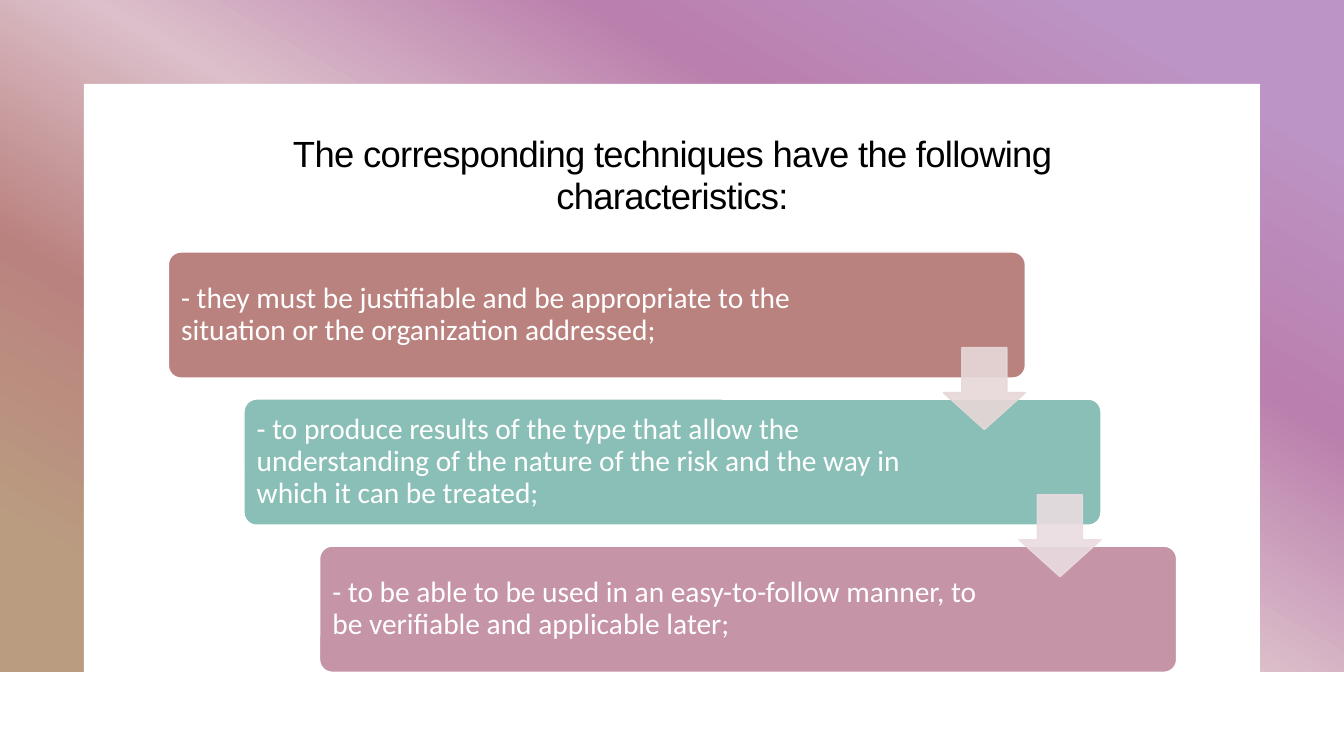
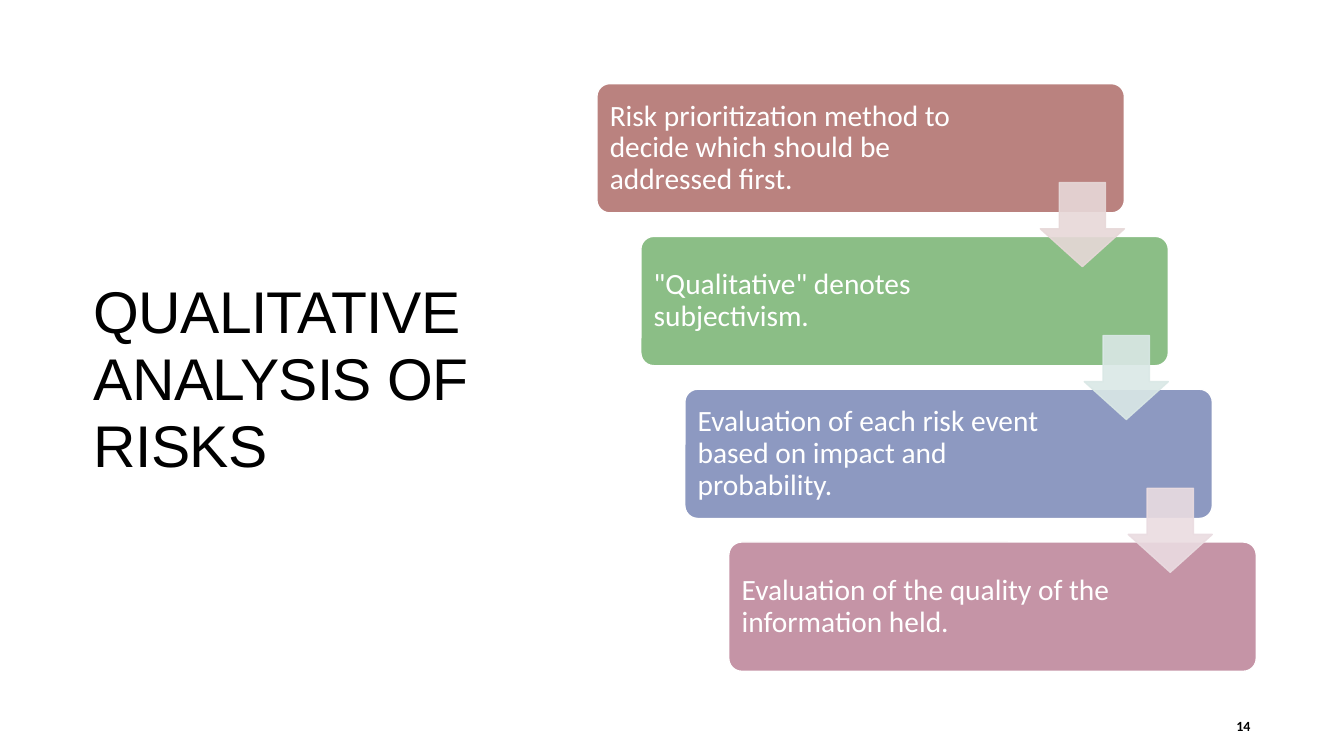
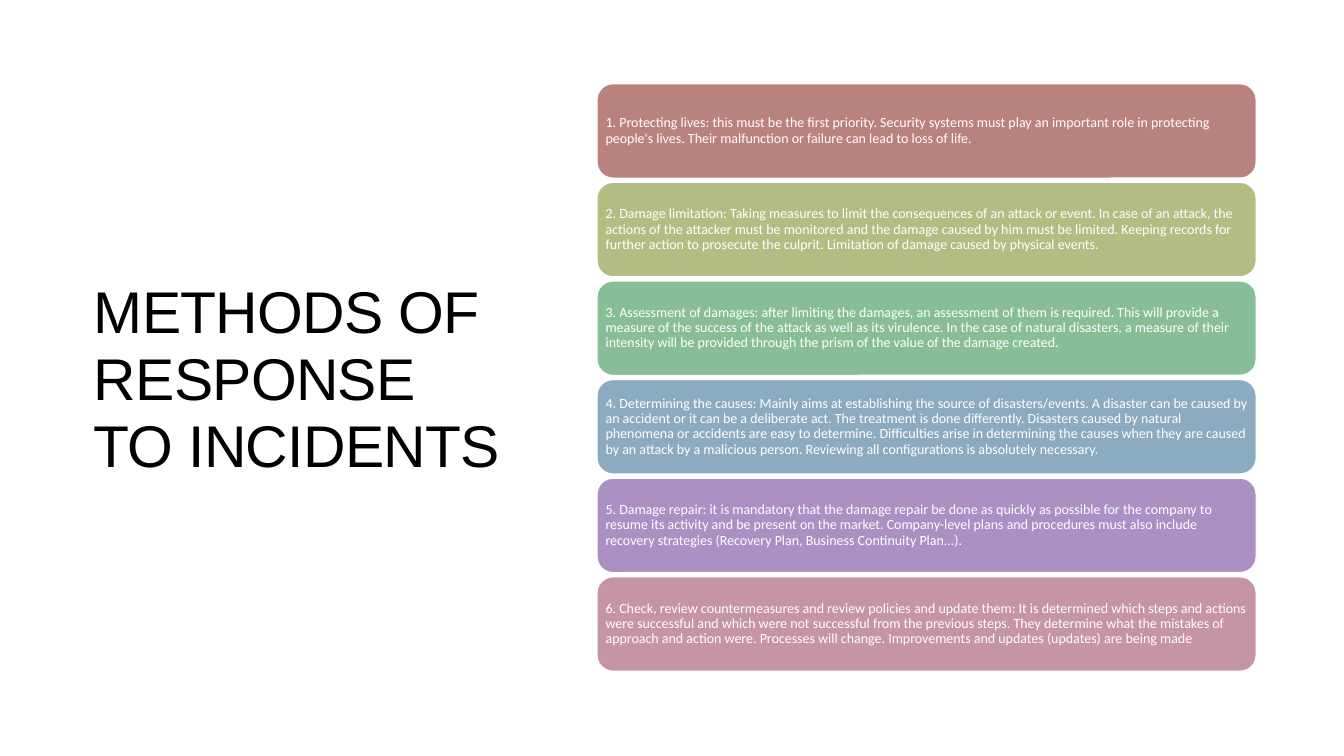
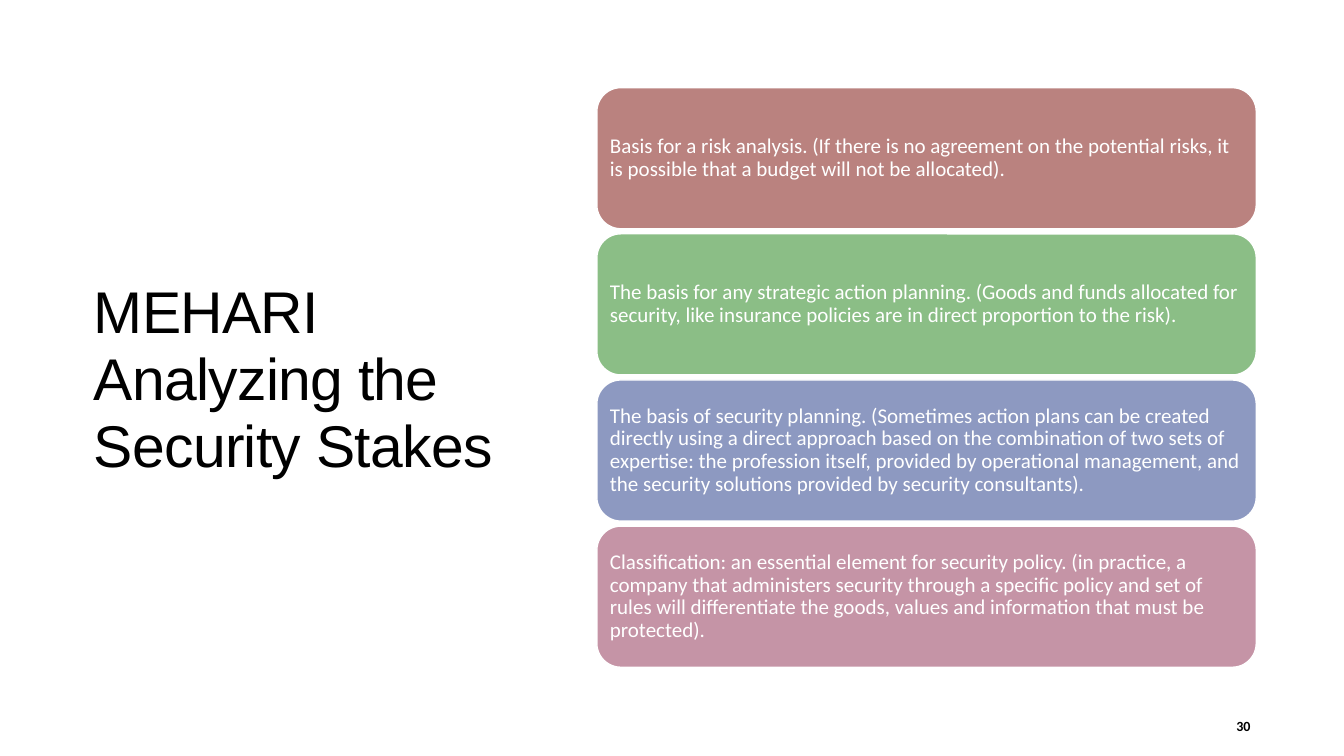
from lxml.etree import SubElement
from pptx import Presentation
from pptx.dml.color import RGBColor
from pptx.enum.shapes import MSO_SHAPE as Preset
from pptx.enum.text import MSO_ANCHOR as Anchor, MSO_AUTO_SIZE as AutoSize, PP_ALIGN as Align
from pptx.oxml.ns import qn
from pptx.util import Inches, Pt

WIDTH, HEIGHT = 13.33, 7.5
COLORS = {
    "white": "FFFFFF", "black": "000000",
    "brick": "BA827F", "olive": "B3BC83", "green": "8BBE86", "mint": "87BE97",
    "teal": "8ABFB7", "steel": "8CABC1", "blue": "8D99C1", "violet": "AA90C3",
    "rose": "C594A6",
    "pale_brick": "E7D8D8", "pale_teal": "DAE8E6", "pale_rose": "EADCE1",
}
GRADIENT = [(10, "BC94C5"), (30, "BA7FAD"), (50, "DCBFCA"), (70, "BA827F"), (90, "BA9C80")]
TITLE_FONT, BODY_FONT = "Arial", "Calibri"

# Boxes are left, top, width, height in inches
SIDE_TITLE = (0.83, 0.85, 4.27, 5.84)
SIDE_CONTENT = (5.92, 0.83, 6.54, 5.83)
TOP_TITLE = (1.67, 1.24, 10, 1.01)
TOP_CONTENT = (1.67, 2.5, 10, 4.17)
PAGE_NUMBER = (11.92, 7, 0.58, 0.4)

CHARACTERISTICS = [
    ("brick", "- they must be justifiable and be appropriate to the situation or the "
              "organization addressed;"),
    ("teal", "- to produce results of the type that allow the understanding of the nature "
             "of the risk and the way in which it can be treated;"),
    ("rose", "- to be able to be used in an easy-to-follow manner, to be verifiable and "
             "applicable later;"),
]
QUALITATIVE = [
    ("brick", "Risk prioritization method to decide which should be addressed first."),
    ("green", "\"Qualitative\" denotes subjectivism."),
    ("blue", "Evaluation of each risk event based on impact and probability."),
    ("rose", "Evaluation of the quality of the information held."),
]
RESPONSES = [
    ("brick", "1. Protecting lives: this must be the first priority. Security systems must "
              "play an important role in protecting people's lives. Their malfunction or "
              "failure can lead to loss of life."),
    ("olive", "2. Damage limitation: Taking measures to limit the consequences of an attack "
              "or event. In case of an attack, the actions of the attacker must be monitored "
              "and the damage caused by him must be limited. Keeping records for further "
              "action to prosecute the culprit. Limitation of damage caused by physical "
              "events."),
    ("mint", "3. Assessment of damages: after limiting the damages, an assessment of them is "
             "required. This will provide a measure of the success of the attack as well as "
             "its virulence. In the case of natural disasters, a measure of their intensity "
             "will be provided through the prism of the value of the damage created."),
    ("steel", "4. Determining the causes: Mainly aims at establishing the source of "
              "disasters/events. A disaster can be caused by an accident or it can be a "
              "deliberate act. The treatment is done differently. Disasters caused by natural "
              "phenomena or accidents are easy to determine. Difficulties arise in "
              "determining the causes when they are caused by an attack by a malicious "
              "person. Reviewing all configurations is absolutely necessary."),
    ("violet", "5. Damage repair: it is mandatory that the damage repair be done as quickly "
               "as possible for the company to resume its activity and be present on the "
               "market. Company-level plans and procedures must also include recovery "
               "strategies (Recovery Plan, Business Continuity Plan...)."),
    ("rose", "6. Check, review countermeasures and review policies and update them: It is "
             "determined which steps and actions were successful and which were not "
             "successful from the previous steps. They determine what the mistakes of "
             "approach and action were. Processes will change. Improvements and updates "
             "(updates) are being made"),
]
STAKES = [
    ("brick", "Basis for a risk analysis. (If there is no agreement on the potential risks, "
              "it is possible that a budget will not be allocated)."),
    ("green", "The basis for any strategic action planning. (Goods and funds allocated for "
              "security, like insurance policies are in direct proportion to the risk)."),
    ("blue", "The basis of security planning. (Sometimes action plans can be created directly "
             "using a direct approach based on the combination of two sets of expertise: the "
             "profession itself, provided by operational management, and the security "
             "solutions provided by security consultants)."),
    ("rose", "Classification: an essential element for security policy. (in practice, a "
             "company that administers security through a specific policy and set of rules "
             "will differentiate the goods, values and information that must be protected)."),
]


def color(name):
    return RGBColor.from_string(COLORS[name])


def write(shape, text, size, font=BODY_FONT, ink="white", bold=False,
          align=Align.LEFT, spacing=None):
    """Put one formatted paragraph in the shape, centred vertically."""
    frame = shape.text_frame
    frame.text = text
    frame.word_wrap = True
    frame.auto_size = AutoSize.NONE
    frame.vertical_anchor = Anchor.MIDDLE
    paragraph = frame.paragraphs[0]
    paragraph.alignment = align
    paragraph.line_spacing = spacing
    run = paragraph.runs[0]
    run.font.name, run.font.size, run.font.bold = font, Pt(size), bold
    run.font.color.rgb = color(ink)
    return run


def add_preset(slide, preset, box, fill, line=None):
    shape = slide.shapes.add_shape(preset, *map(Inches, box))
    shape.shadow.inherit = False
    shape.fill.solid()
    shape.fill.fore_color.rgb = color(fill)
    if line:
        shape.line.color.rgb = color(line)
        shape.line.width = Pt(1)
    else:
        shape.line.fill.background()
    return shape


def add_title(slide, text, box, size, align=Align.LEFT):
    title = slide.shapes.title
    title.left, title.top, title.width, title.height = map(Inches, box)
    run = write(title, text, size, TITLE_FONT, "black", align=align, spacing=0.95)
    run.font._element.set("spc", "-50")


def add_page_number(slide, number):
    box = slide.shapes.add_textbox(*map(Inches, PAGE_NUMBER))
    write(box, str(number), 10, ink="black", bold=True, align=Align.RIGHT)


def add_gradient_frame(slide):
    """Gradient band with a white panel inset by one sixteenth of the width."""
    inset = WIDTH / 16
    band = add_preset(slide, Preset.RECTANGLE, (0, 0, WIDTH, HEIGHT - inset), "white")
    band.fill.gradient()
    band.fill.gradient_angle = 240
    stops = band.fill._xPr.find(qn("a:gradFill")).find(qn("a:gsLst"))
    stops.clear()
    for percent, value in GRADIENT:
        stop = SubElement(stops, qn("a:gs"), pos=str(percent * 1000))
        SubElement(stop, qn("a:srgbClr"), val=value)
    panel = (inset, inset, WIDTH - 2 * inset, HEIGHT - 2 * inset)
    add_preset(slide, Preset.RECTANGLE, panel, "white")


def add_card(slide, box, fill, text, size, margin, right_margin=None, corner=0.17):
    card = add_preset(slide, Preset.ROUNDED_RECTANGLE, box, fill, "white")
    card.adjustments[0] = corner
    write(card, text, size, spacing=0.9)
    frame = card.text_frame
    frame.margin_left = frame.margin_top = frame.margin_bottom = Inches(margin)
    frame.margin_right = Inches(right_margin or margin)


def add_arrow(slide, box, fill):
    arrow = add_preset(slide, Preset.DOWN_ARROW, box, fill, fill)
    arrow.adjustments[0], arrow.adjustments[1] = 0.55, 0.45
    for tint in arrow._element.spPr.iter(qn("a:srgbClr")):
        SubElement(tint, qn("a:alpha"), val="90000")


def add_staircase(slide, box, items, arrow_fills, shares, right_margin):
    """Cards stepping down to the right; shares is a card's part of the box size."""
    left, top, width, height = box
    card_width, card_height = width * shares[0], height * shares[1]
    step_x = (width - card_width) / (len(items) - 1)
    step_y = (height - card_height) / (len(items) - 1)
    for index, (fill, text) in enumerate(items):
        card = (left + index * step_x, top + index * step_y, card_width, card_height)
        add_card(slide, card, fill, text, 21, 0.09, right_margin, corner=0.1)
    side = card_height * 0.65
    for index, fill in enumerate(arrow_fills):
        right = left + index * step_x + card_width
        gap_middle = top + index * step_y + (card_height + step_y) / 2
        add_arrow(slide, (right - side, gap_middle - side / 2, side, side), fill)


def add_stack(slide, box, items, size, margin, gap):
    """Full-width cards of equal height, one above the other."""
    left, top, width, height = box
    card_height = (height - gap * (len(items) - 1)) / len(items)
    for index, (fill, text) in enumerate(items):
        card = (left, top + index * (card_height + gap), width, card_height)
        add_card(slide, card, fill, text, size, margin)


def add_slide(presentation):
    return presentation.slides.add_slide(presentation.slide_layouts[5])


def add_side_slide(presentation, title, number=None):
    """Slide with its title on the left and room for cards on the right."""
    slide = add_slide(presentation)
    add_title(slide, title, SIDE_TITLE, 42)
    if number:
        add_page_number(slide, number)
    return slide


def add_characteristics_slide(presentation):
    slide = add_slide(presentation)
    add_gradient_frame(slide)
    tree = slide.shapes._spTree
    tree.append(slide.shapes.title._element)  # bring the title above the panel
    add_title(slide, "The corresponding techniques have the following characteristics:",
              TOP_TITLE, 26, Align.CENTER)
    add_staircase(slide, TOP_CONTENT, CHARACTERISTICS, ["pale_brick", "pale_rose"],
                  (0.85, 0.3), 1.65)


def main():
    presentation = Presentation()
    presentation.slide_width, presentation.slide_height = Inches(WIDTH), Inches(HEIGHT)

    add_characteristics_slide(presentation)

    slide = add_side_slide(presentation, "QUALITATIVE ANALYSIS OF RISKS", 14)
    add_staircase(slide, SIDE_CONTENT, QUALITATIVE,
                  ["pale_brick", "pale_teal", "pale_rose"], (0.8, 0.22), 1.37)

    slide = add_side_slide(presentation, "METHODS OF RESPONSE TO INCIDENTS")
    add_stack(slide, SIDE_CONTENT, RESPONSES, 10, 0.04, 0.04)

    slide = add_side_slide(presentation, "MEHARI Analyzing the Security Stakes", 30)
    left, top, width, height = SIDE_CONTENT
    add_stack(slide, (left, top + 0.04, width, height - 0.08), STAKES, 15, 0.06, 0.05)

    presentation.save("out.pptx")


if __name__ == "__main__":
    main()
